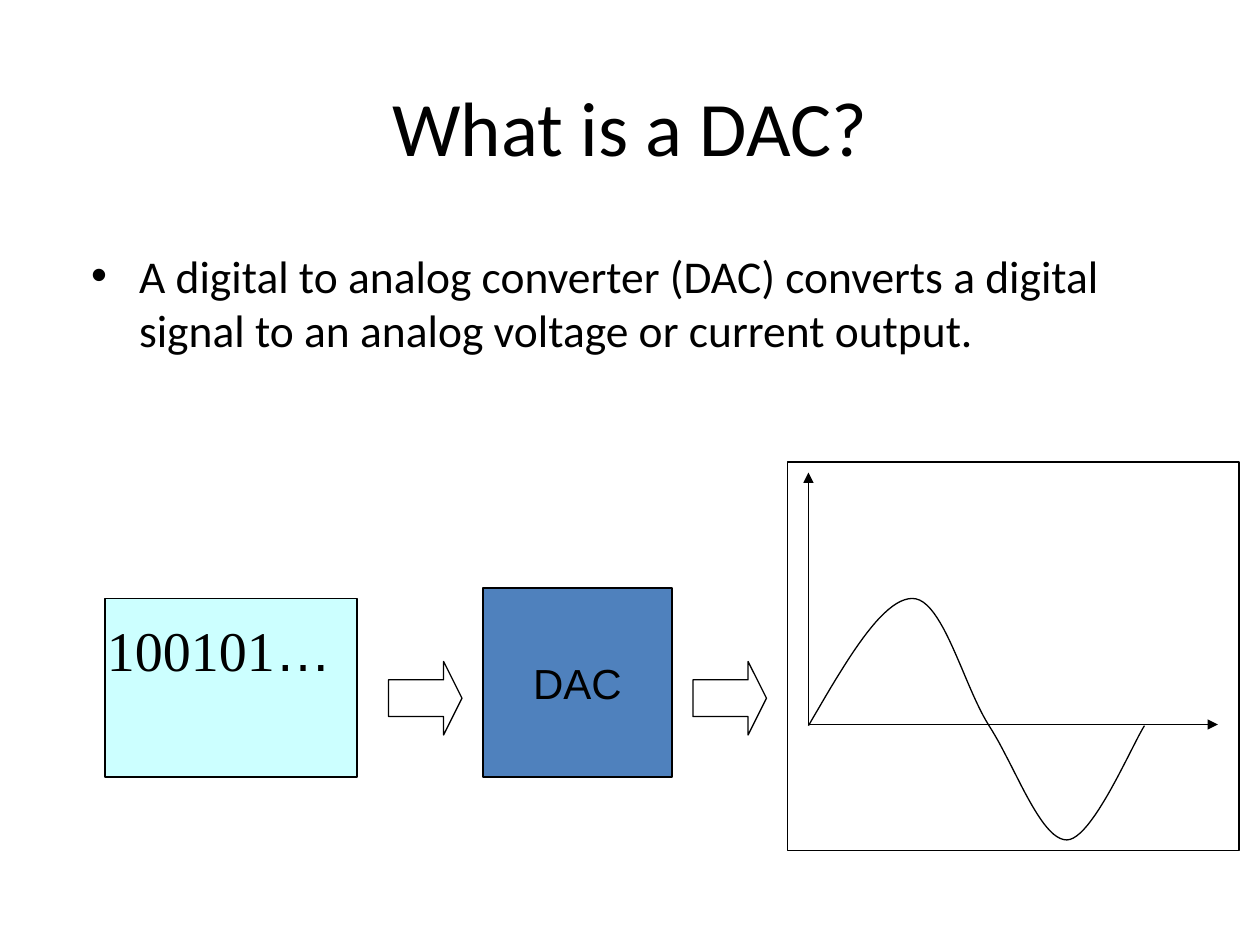
from lxml.etree import SubElement
from pptx import Presentation
from pptx.dml.color import RGBColor
from pptx.enum.shapes import MSO_CONNECTOR, MSO_SHAPE
from pptx.enum.text import MSO_ANCHOR, PP_ALIGN
from pptx.oxml.ns import qn
from pptx.util import Inches, Pt

COLORS = {"ink": "000000", "paper": "FFFFFF", "converter": "4F81BD", "bits": "CCFFFF"}
WIDTH, HEIGHT = Inches(10), Inches(7.5)
COLUMNS, ROWS = 120, 90
CELL = WIDTH // COLUMNS

TITLE = ("What is a DAC?", (7.5, 4, 105, 16))
DEFINITION = (
    "A digital to analog converter (DAC) converts a digital signal to an analog voltage or current output.",
    (7.5, 23, 105, 27),
)
BITS = ([("100101", "Times New Roman"), ("…", "Arial")], (9, 58, 25, 7.5))
BITS_PANEL = (10, 57, 24, 17)
CONVERTER = ("DAC", (46, 56, 18, 18))
FLOW_ARROWS = [(37, 63, 7, 7), (66, 63, 7, 7)]
GRAPH_PANEL = (75, 44, 43, 37)
ORIGIN = (77, 69)
AXIS_ENDS = [(77, 45), (116, 69)]
WAVE_START = (77, 69.12)
WAVE = [
    ((80.5, 63.1), (84, 57), (86.9, 57)),
    ((89.8, 57), (91.8, 65.4), (94.2, 69.12)),
    ((96.7, 73), (99.1, 80), (101.6, 80)),
    ((104, 80), (107.8, 71), (109, 69.12)),
]
WAVE_STEPS = 24


def grid(cells):
    return [round(cell * CELL) for cell in cells]


def write(shape, runs, size, font="Calibri", align=PP_ALIGN.LEFT,
          anchor=MSO_ANCHOR.TOP, wrap=True, bullet=None):
    frame = shape.text_frame
    frame.word_wrap = wrap
    frame.vertical_anchor = anchor
    paragraph = frame.paragraphs[0]
    paragraph.alignment = align
    if bullet:
        properties = paragraph._p.get_or_add_pPr()
        properties.set("marL", str(Inches(0.38)))
        properties.set("indent", str(-Inches(0.38)))
        SubElement(properties, qn("a:buFont"), typeface="Arial")
        SubElement(properties, qn("a:buChar"), char=bullet)
    for text, typeface in [(runs, font)] if isinstance(runs, str) else runs:
        run = paragraph.add_run()
        run.text = text
        run.font.name = typeface
        run.font.size = Pt(size)
        run.font.color.rgb = RGBColor.from_string(COLORS["ink"])


def outline(part):
    part.line.color.rgb = RGBColor.from_string(COLORS["ink"])
    part.line.width = Pt(0.75)


def block(slide, preset, cells, fill):
    part = slide.shapes.add_shape(preset, *grid(cells))
    part.shadow.inherit = False
    part.fill.solid()
    part.fill.fore_color.rgb = RGBColor.from_string(COLORS[fill])
    outline(part)
    return part


def axis(slide, end):
    part = slide.shapes.add_connector(MSO_CONNECTOR.STRAIGHT, *grid(ORIGIN + end))
    outline(part)
    SubElement(part.line._get_or_add_ln(), qn("a:tailEnd"), type="triangle")
    SubElement(part._element.spPr, qn("a:effectLst"))


def wave_points():
    start = WAVE_START
    for first, second, end in WAVE:
        for step in range(1, WAVE_STEPS + 1):
            t = step / WAVE_STEPS
            u = 1 - t
            yield grid(
                u**3 * a + 3 * u**2 * t * b + 3 * u * t**2 * c + t**3 * d
                for a, b, c, d in zip(start, first, second, end)
            )
        start = end


def wave(slide):
    builder = slide.shapes.build_freeform(*grid(WAVE_START))
    builder.add_line_segments(wave_points(), close=False)
    part = builder.convert_to_shape()
    part.shadow.inherit = False
    part.fill.background()
    outline(part)


def main():
    deck = Presentation()
    deck.slide_width, deck.slide_height = WIDTH, HEIGHT
    slide = deck.slides.add_slide(deck.slide_layouts[5])

    text, cells = TITLE
    title = slide.shapes.title
    title.left, title.top, title.width, title.height = grid(cells)
    write(title, text, 44, align=PP_ALIGN.CENTER, anchor=MSO_ANCHOR.MIDDLE)

    text, cells = DEFINITION
    write(slide.shapes.add_textbox(*grid(cells)), text, 26, bullet="•")

    block(slide, MSO_SHAPE.RECTANGLE, GRAPH_PANEL, "paper")
    for end in AXIS_ENDS:
        axis(slide, end)
    wave(slide)

    text, cells = CONVERTER
    converter = block(slide, MSO_SHAPE.RECTANGLE, cells, "converter")
    write(converter, text, 24, font="Arial", align=PP_ALIGN.CENTER,
          anchor=MSO_ANCHOR.MIDDLE, wrap=False)

    block(slide, MSO_SHAPE.RECTANGLE, BITS_PANEL, "bits")
    runs, cells = BITS
    write(slide.shapes.add_textbox(*grid(cells)), runs, 32)

    for cells in FLOW_ARROWS:
        arrow = block(slide, MSO_SHAPE.RIGHT_ARROW, cells, "paper")
        arrow.adjustments[0] = 0.5
        arrow.adjustments[1] = 0.25

    deck.save("out.pptx")


if __name__ == "__main__":
    main()
